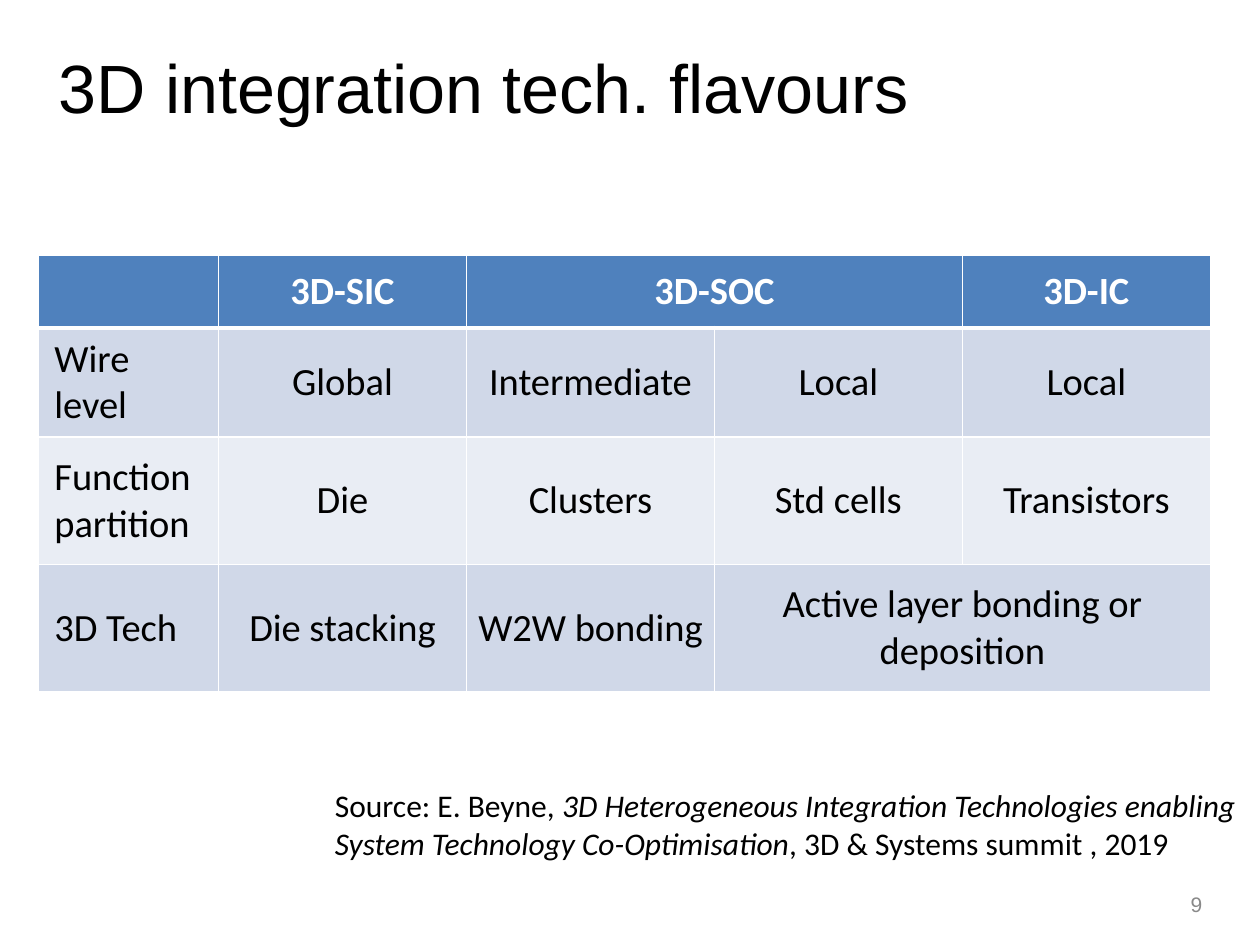
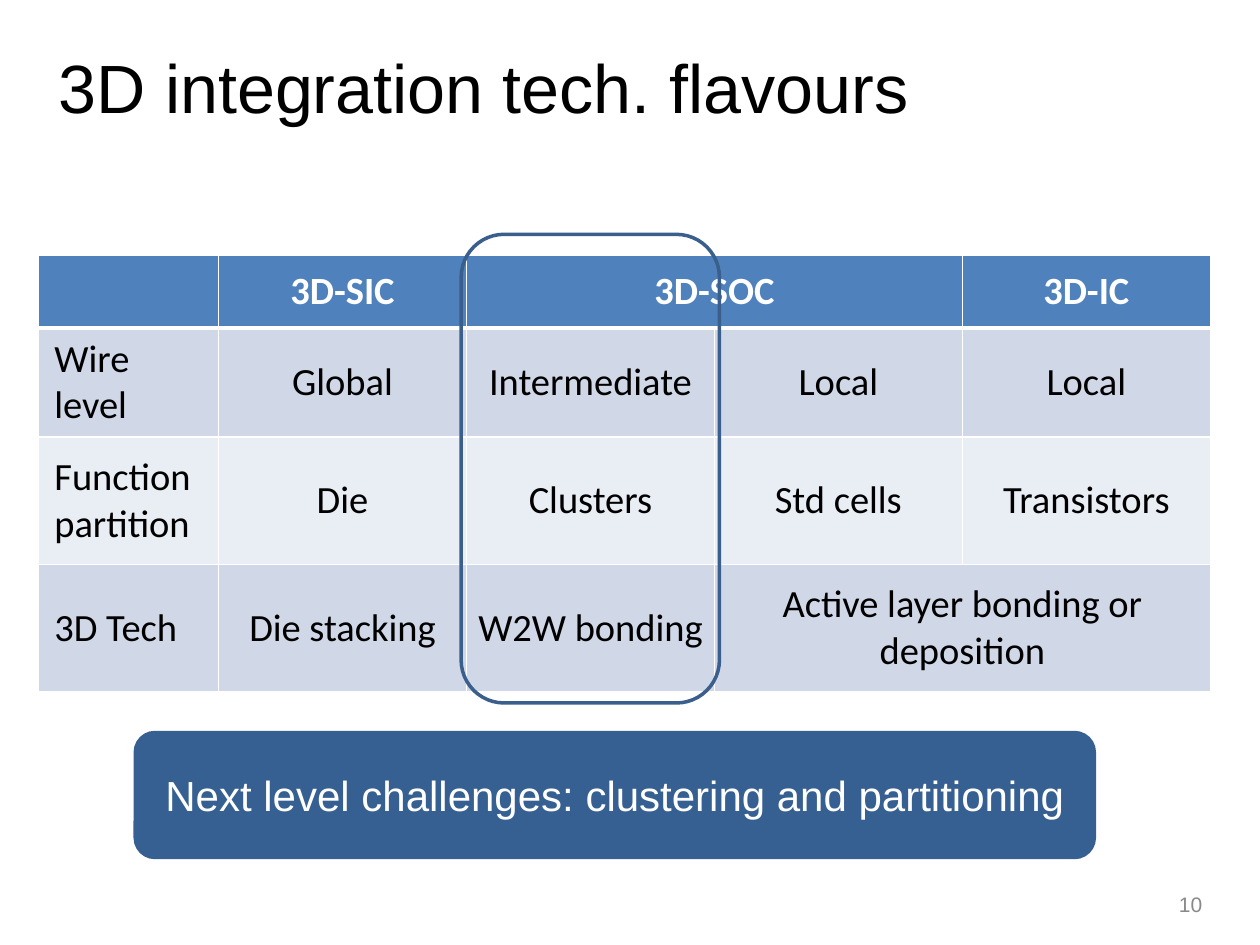
import pptx
import pptx.dml.color
import pptx.enum.shapes
import pptx.enum.text
import pptx.oxml
import pptx.oxml.ns
import pptx.util

Pt = pptx.util.Pt
ALIGN = pptx.enum.text.PP_ALIGN
MIDDLE = pptx.enum.text.MSO_ANCHOR.MIDDLE

BLACK = "000000"
WHITE = "FFFFFF"
PAGE_GREY = "898989"
HEADER_BLUE = "4F81BD"
BAND_FILLS = ("D0D8E8", "E9EDF4")
BANNER_BLUE = "376092"
OUTLINE_BLUE = "3A5F8C"

TITLE = "3D integration tech. flavours"
FLAVOURS = [
    ["", "3D-SIC", "3D-SOC", None, "3D-IC"],
    ["Wire level", "Global", "Intermediate", "Local", "Local"],
    ["Function partition", "Die", "Clusters", "Std cells", "Transistors"],
    ["3D Tech", "Die stacking", "W2W bonding", "Active layer bonding or deposition", None],
]
COLUMN_WIDTHS = [103, 141.7, 141.7, 141.7, 141.7]
ROW_HEIGHTS = [41.8, 62.3, 72.8, 72.8]
SOURCE_LINES = [
    [("Source: E. Beyne, ", False),
     ("3D Heterogeneous Integration Technologies enabling ", True)],
    [("System Technology Co-Optimisation", True),
     (", 3D & Systems summit , 2019", False)],
]


def rgb(hex_colour):
    return pptx.dml.color.RGBColor.from_string(hex_colour)


def style_paragraph(paragraph, font_name, size, colour, align=ALIGN.LEFT, bold=False):
    paragraph.alignment = align
    font = paragraph.font
    font.name = font_name
    font.size = Pt(size)
    font.bold = bold
    font.color.rgb = rgb(colour)


def add_label(slide, box, text, size, colour, align=ALIGN.LEFT):
    frame = slide.shapes.add_textbox(*map(Pt, box)).text_frame
    frame.word_wrap = True
    frame.vertical_anchor = MIDDLE
    frame.text = text
    style_paragraph(frame.paragraphs[0], "Arial", size, colour, align)


def add_source(slide):
    frame = slide.shapes.add_textbox(Pt(184.3), Pt(445.7), Pt(535.7), Pt(51)).text_frame
    frame.word_wrap = False
    for index, line in enumerate(SOURCE_LINES):
        paragraph = frame.add_paragraph() if index else frame.paragraphs[0]
        style_paragraph(paragraph, "Calibri", 18, BLACK)
        for text, italic in line:
            run = paragraph.add_run()
            run.text = text
            run.font.italic = italic


def add_round_box(slide, box):
    shape = slide.shapes.add_shape(
        pptx.enum.shapes.MSO_SHAPE.ROUNDED_RECTANGLE, *map(Pt, box))
    shape.shadow.inherit = False
    return shape


def add_banner(slide, text):
    banner = add_round_box(slide, (76.3, 417.6, 550, 73.4))
    banner.fill.solid()
    banner.fill.fore_color.rgb = rgb(BANNER_BLUE)
    banner.line.fill.background()
    frame = banner.text_frame
    frame.word_wrap = True
    frame.vertical_anchor = MIDDLE
    frame.text = text
    style_paragraph(frame.paragraphs[0], "Arial", 24, WHITE, ALIGN.CENTER)


def add_column_outline(slide):
    outline = add_round_box(slide, (263.5, 133.9, 147.6, 267.8))
    outline.fill.background()
    outline.line.color.rgb = rgb(OUTLINE_BLUE)
    outline.line.width = Pt(2)


def set_borders(cell, row):
    widths = {"L": 1, "R": 1, "T": 3 if row == 1 else 1, "B": 3 if row == 0 else 1}
    properties = cell._tc.get_or_add_tcPr()
    for side, width in widths.items():
        properties.append(pptx.oxml.parse_xml(
            f'<a:ln{side} {pptx.oxml.ns.nsdecls("a")} w="{Pt(width)}"><a:solidFill>'
            f'<a:srgbClr val="{WHITE}"/></a:solidFill></a:ln{side}>'))


def style_cell(cell, row, column):
    is_header = row == 0
    set_borders(cell, row)
    cell.fill.solid()
    cell.fill.fore_color.rgb = rgb(HEADER_BLUE if is_header else BAND_FILLS[(row - 1) % 2])
    cell.vertical_anchor = MIDDLE
    wide = is_header or column == 0
    cell.margin_left = cell.margin_right = Pt(9.2 if wide else 3.6)
    cell.margin_top = cell.margin_bottom = Pt(4.2 if wide else 3.6)
    style_paragraph(cell.text_frame.paragraphs[0], "Calibri", 22,
                    WHITE if is_header else BLACK,
                    ALIGN.LEFT if column == 0 else ALIGN.CENTER, is_header)


def add_flavour_table(slide):
    table = slide.shapes.add_table(
        len(ROW_HEIGHTS), len(COLUMN_WIDTHS), Pt(21.9), Pt(145.6),
        Pt(sum(COLUMN_WIDTHS)), Pt(sum(ROW_HEIGHTS))).table
    for column, width in zip(table.columns, COLUMN_WIDTHS):
        column.width = Pt(width)
    for row, height in zip(table.rows, ROW_HEIGHTS):
        row.height = Pt(height)
    for row, texts in enumerate(FLAVOURS):
        for column, text in enumerate(texts):
            cell = table.cell(row, column)
            if text is None:
                table.cell(row, column - 1).merge(cell)
            else:
                cell.text = text
            style_cell(cell, row, column)


def add_flavour_slide(deck, number):
    slide = deck.slides.add_slide(deck.slide_layouts[6])
    add_label(slide, (26.6, 21.6, 612.7, 55.4), TITLE, 39, BLACK)
    add_flavour_table(slide)
    add_label(slide, (526.3, 506.9, 167.8, 19.4), str(number), 12, PAGE_GREY, ALIGN.RIGHT)
    return slide


def main():
    deck = pptx.Presentation()
    deck.slide_width, deck.slide_height = Pt(720), Pt(540)

    overview = add_flavour_slide(deck, 9)
    add_source(overview)

    challenges = add_flavour_slide(deck, 10)
    add_banner(challenges, "Next level challenges: clustering and partitioning")
    add_column_outline(challenges)

    deck.save("out.pptx")


main()
